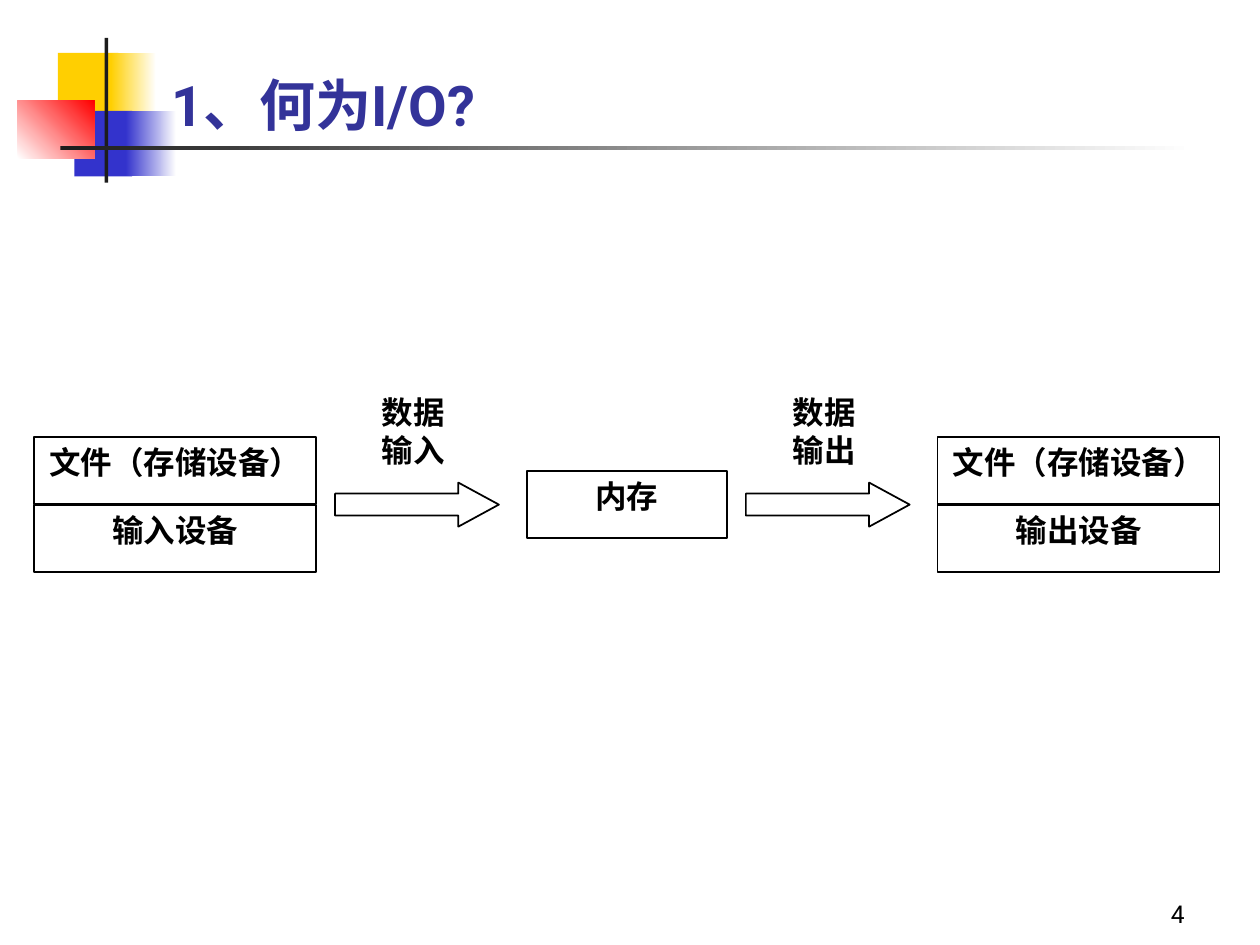
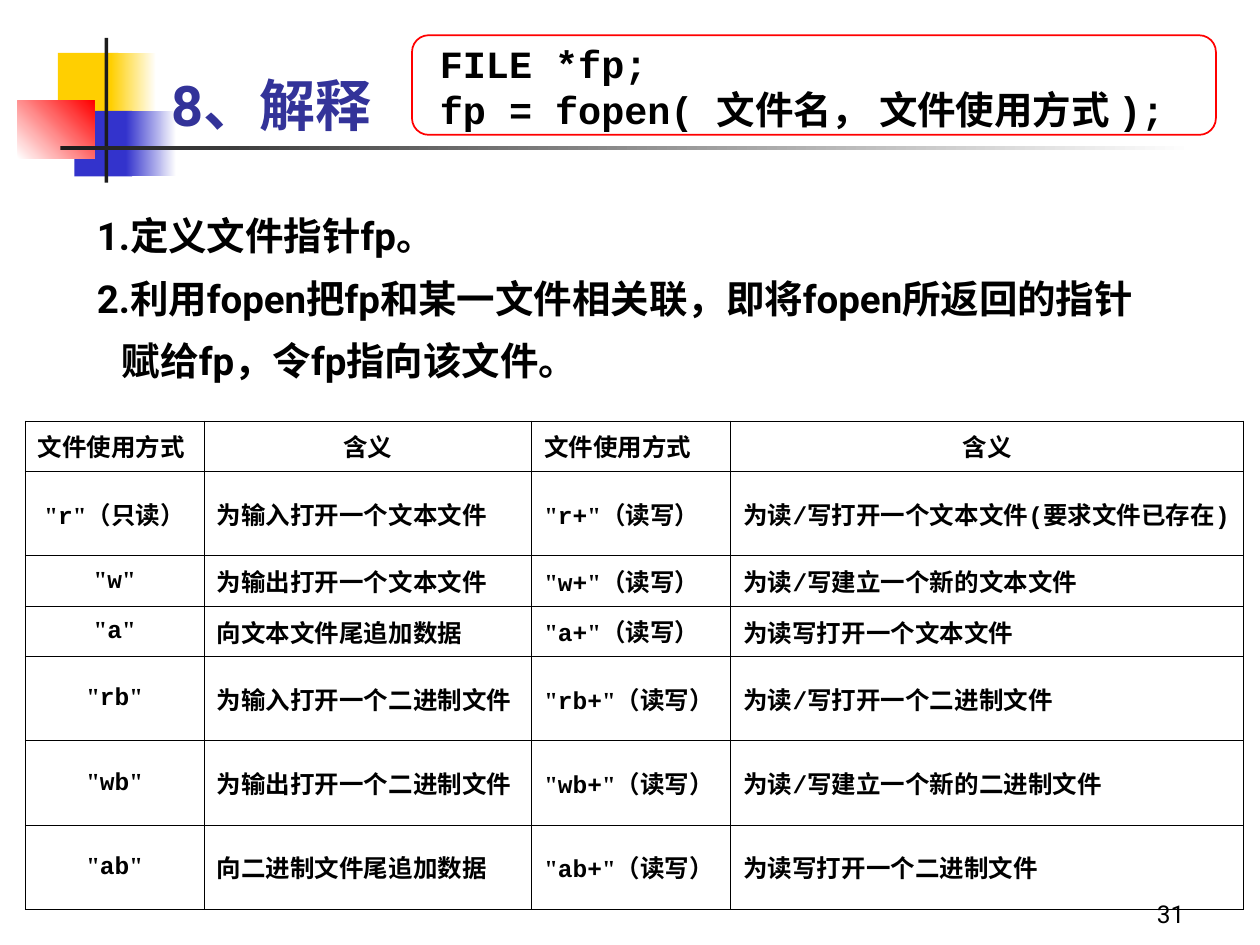
from dataclasses import dataclass
from itertools import groupby
from typing import Optional

from lxml import etree
from pptx import Presentation
from pptx.dml.color import RGBColor
from pptx.enum.shapes import MSO_SHAPE
from pptx.enum.text import MSO_ANCHOR, MSO_AUTO_SIZE, PP_ALIGN
from pptx.oxml.ns import qn
from pptx.util import Inches, Pt

RECTANGLE = MSO_SHAPE.RECTANGLE
ROUNDED = MSO_SHAPE.ROUNDED_RECTANGLE
ARROW = MSO_SHAPE.RIGHT_ARROW
LEFT, CENTER, RIGHT = PP_ALIGN.LEFT, PP_ALIGN.CENTER, PP_ALIGN.RIGHT
JUSTIFY = PP_ALIGN.JUSTIFY
TOP, MIDDLE, BOTTOM = MSO_ANCHOR.TOP, MSO_ANCHOR.MIDDLE, MSO_ANCHOR.BOTTOM
NO_AUTOFIT = MSO_AUTO_SIZE.NONE

BLACK = RGBColor(0x00, 0x00, 0x00)
WHITE = RGBColor(0xFF, 0xFF, 0xFF)
RED = RGBColor(0xFF, 0x00, 0x00)
YELLOW = RGBColor(0xFF, 0xCF, 0x01)
BLUE = RGBColor(0x33, 0x33, 0xCC)
CHARCOAL = RGBColor(0x1C, 0x1C, 0x1C)
TITLE_BLUE = RGBColor(0x33, 0x33, 0x99)

SANS, MONO, SERIF = "Roboto", "Courier New", "Times New Roman"


@dataclass(frozen=True)
class TextStyle:
    font: str
    size: float
    color: RGBColor = BLACK
    bold: bool = True
    align: PP_ALIGN = LEFT


@dataclass(frozen=True)
class Area:
    left: float
    top: float
    width: float
    height: float

    def lengths(self):
        return tuple(Inches(n) for n in (self.left, self.top, self.width, self.height))


@dataclass(frozen=True)
class Patch:
    area: Area
    color: RGBColor
    fade_to: Optional[RGBColor] = None
    angle: float = 0


TITLE = TextStyle(SANS, 32, TITLE_BLUE)
NUMBER = TextStyle(SANS, 14, bold=False, align=RIGHT)
FLOW = TextStyle(MONO, 18, align=CENTER)
CODE = TextStyle(MONO, 22, align=JUSTIFY)
STEP = TextStyle(SANS, 22)
CELL = TextStyle(MONO, 14)
CELL_CENTER = TextStyle(MONO, 14, align=CENTER)

ORNAMENT = [
    Patch(Area(0.46, 0.42, 0.48, 0.52), YELLOW),
    Patch(Area(0.88, 0.42, 0.36, 0.52), YELLOW, WHITE),
    Patch(Area(0.59, 0.88, 0.46, 0.52), BLUE),
    Patch(Area(1, 0.88, 0.4, 0.52), BLUE, WHITE),
    Patch(Area(0.14, 0.8, 0.61, 0.46), WHITE, RED, 45),
    Patch(Area(0.83, 0.3, 0.03, 1.15), CHARCOAL),
    Patch(Area(0.48, 1.16, 9, 0.03), CHARCOAL, WHITE),
]

MODE_COLUMNS = [1.42, 2.6, 1.58, 4.07]
MODE_ROWS = [0.4, 0.57, 0.4, 0.4, 0.57, 0.57, 0.57]
MODES = [
    ("文件使用方式", "含义", "文件使用方式", "含义"),
    ('"r"（只读）', "为输入打开一个文本文件", '"r+"（读写）', "为读/写打开一个文本文件(要求文件已存在)"),
    ('"w"', "为输出打开一个文本文件", '"w+"（读写）', "为读/写建立一个新的文本文件"),
    ('"a"', "向文本文件尾追加数据", '"a+"（读写）', "为读写打开一个文本文件"),
    ('"rb"', "为输入打开一个二进制文件", '"rb+"（读写）', "为读/写打开一个二进制文件"),
    ('"wb"', "为输出打开一个二进制文件", '"wb+"（读写）', "为读/写建立一个新的二进制文件"),
    ('"ab"', "向二进制文件尾追加数据", '"ab+"（读写）', "为读写打开一个二进制文件"),
]


def format_para(para, style: TextStyle) -> None:
    para.alignment = style.align
    para.font.name = style.font
    para.font.size = Pt(style.size)
    para.font.bold = style.bold
    para.font.color.rgb = style.color


def write(frame, lines: list[str], style: TextStyle, anchor=TOP,
          inset: bool = True, wrap: bool = True) -> None:
    frame.auto_size = NO_AUTOFIT
    frame.word_wrap = wrap
    frame.vertical_anchor = anchor
    frame.margin_left = frame.margin_right = Inches(0.1 if inset else 0)
    frame.margin_top = frame.margin_bottom = Inches(0.05 if inset else 0)
    for index, line in enumerate(lines):
        para = frame.paragraphs[0] if index == 0 else frame.add_paragraph()
        para.add_run().text = line
        format_para(para, style)


def add_text(page, area: Area, lines: list[str], style: TextStyle, **layout):
    box = page.shapes.add_textbox(*area.lengths())
    write(box.text_frame, lines, style, **layout)
    return box


def add_outline(page, kind, area: Area, color: RGBColor = BLACK):
    shape = page.shapes.add_shape(kind, *area.lengths())
    shape.shadow.inherit = False
    shape.fill.background()
    shape.line.color.rgb = color
    shape.line.width = Pt(1)
    return shape


def add_patch(page, patch: Patch) -> None:
    shape = page.shapes.add_shape(RECTANGLE, *patch.area.lengths())
    shape.shadow.inherit = False
    shape.line.fill.background()
    if patch.fade_to is None:
        shape.fill.solid()
        shape.fill.fore_color.rgb = patch.color
    else:
        shape.fill.gradient()
        shape.fill.gradient_angle = patch.angle
        for stop, color in zip(shape.fill.gradient_stops, (patch.color, patch.fade_to)):
            stop.color.rgb = color


def add_page(deck, title: str, title_area: Area, number: int):
    page = deck.slides.add_slide(deck.slide_layouts[5])
    for patch in ORNAMENT:
        add_patch(page, patch)
    add_text(page, Area(7.42, 6.92, 2.08, 0.5), [str(number)], NUMBER, anchor=BOTTOM)
    heading = page.shapes.title
    heading.left, heading.top, heading.width, heading.height = title_area.lengths()
    write(heading.text_frame, [title], TITLE, anchor=BOTTOM)
    page.shapes._spTree.append(heading._element)
    return page


def add_flow_box(page, area: Area, label: str) -> None:
    box = add_outline(page, RECTANGLE, area)
    write(box.text_frame, [label], FLOW)


def add_transfer(page, left: float, lines: list[str]) -> None:
    add_text(page, Area(left + 0.22, 3.12, 0.8, 0.71), lines, FLOW, inset=False)
    arrow = add_outline(page, ARROW, Area(left, 3.83, 1.3, 0.35))
    arrow.adjustments[0] = 0.5
    arrow.adjustments[1] = 0.92


def border_cell(cell) -> None:
    properties = cell._tc.get_or_add_tcPr()
    for side in ("lnL", "lnR", "lnT", "lnB"):
        line = etree.SubElement(properties, qn(f"a:{side}"), w=str(Pt(0.45)))
        fill = etree.SubElement(line, qn("a:solidFill"))
        etree.SubElement(fill, qn("a:srgbClr"), val=str(BLACK))


def fill_cell(cell, text: str, style: TextStyle) -> None:
    border_cell(cell)
    cell.fill.background()
    cell.vertical_anchor = MIDDLE
    para = cell.text_frame.paragraphs[0]
    for is_quote, letters in groupby(text, lambda letter: letter == '"'):
        span = para.add_run()
        span.text = "".join(letters)
        if is_quote:
            span.font.name = SERIF
    format_para(para, style)


def add_mode_table(page) -> None:
    area = Area(0.2, 3.34, sum(MODE_COLUMNS), sum(MODE_ROWS))
    table = page.shapes.add_table(len(MODES), len(MODE_COLUMNS), *area.lengths()).table
    table.first_row = table.horz_banding = False
    for column, width in zip(table.columns, MODE_COLUMNS):
        column.width = Inches(width)
    for row_index, (height, texts) in enumerate(zip(MODE_ROWS, MODES)):
        table.rows[row_index].height = Inches(height)
        centered = (1, 3) if row_index == 0 else (0,)
        for column_index, text in enumerate(texts):
            style = CELL_CENTER if column_index in centered else CELL
            fill_cell(table.cell(row_index, column_index), text, style)


def add_io_page(deck) -> None:
    page = add_page(deck, "1、何为I/O?", Area(1.26, 0.05, 8.52, 1.09), 4)
    for left, device in ((0.27, "输入设备"), (7.44, "输出设备")):
        for top, label in ((3.47, "文件（存储设备）"), (4.01, device)):
            add_flow_box(page, Area(left, top, 2.24, 0.53), label)
    add_flow_box(page, Area(4.18, 3.74, 1.59, 0.53), "内存")
    add_transfer(page, 2.66, ["数据", "输入"])
    add_transfer(page, 5.92, ["数据", "输出"])


def add_fopen_page(deck) -> None:
    page = add_page(deck, "8、解释", Area(1.26, 0.28, 8.52, 0.86), 31)
    code_box = add_outline(page, ROUNDED, Area(3.27, 0.28, 6.38, 0.79), RED)
    code = [" FILE *fp;", " fp = fopen( 文件名， 文件使用方式 );"]
    write(code_box.text_frame, code, CODE, inset=False)
    steps = [
        "1.定义文件指针fp。",
        "2.利用fopen把fp和某一文件相关联，即将fopen所返回的指针",
        "赋给fp，令fp指向该文件。",
    ]
    step_box = add_text(page, Area(0.67, 1.55, 8.43, 1.5), steps, STEP,
                        anchor=MIDDLE, wrap=False)
    paras = step_box.text_frame.paragraphs
    for para in paras:
        para.line_spacing = 1.35
    paras[-1]._p.get_or_add_pPr().set("marL", str(Inches(0.2)))
    add_mode_table(page)


def main() -> None:
    deck = Presentation()
    deck.slide_width, deck.slide_height = Inches(10), Inches(7.5)
    add_io_page(deck)
    add_fopen_page(deck)
    deck.save("out.pptx")


if __name__ == "__main__":
    main()
